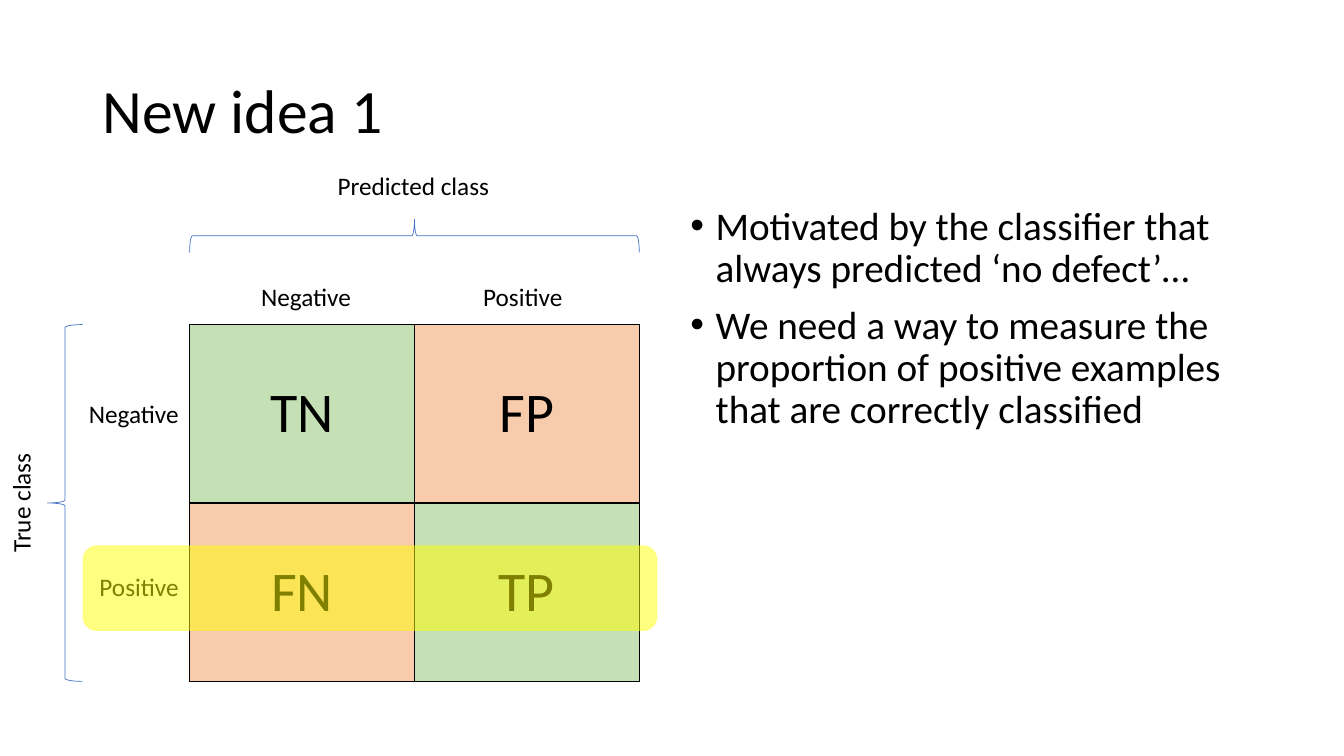
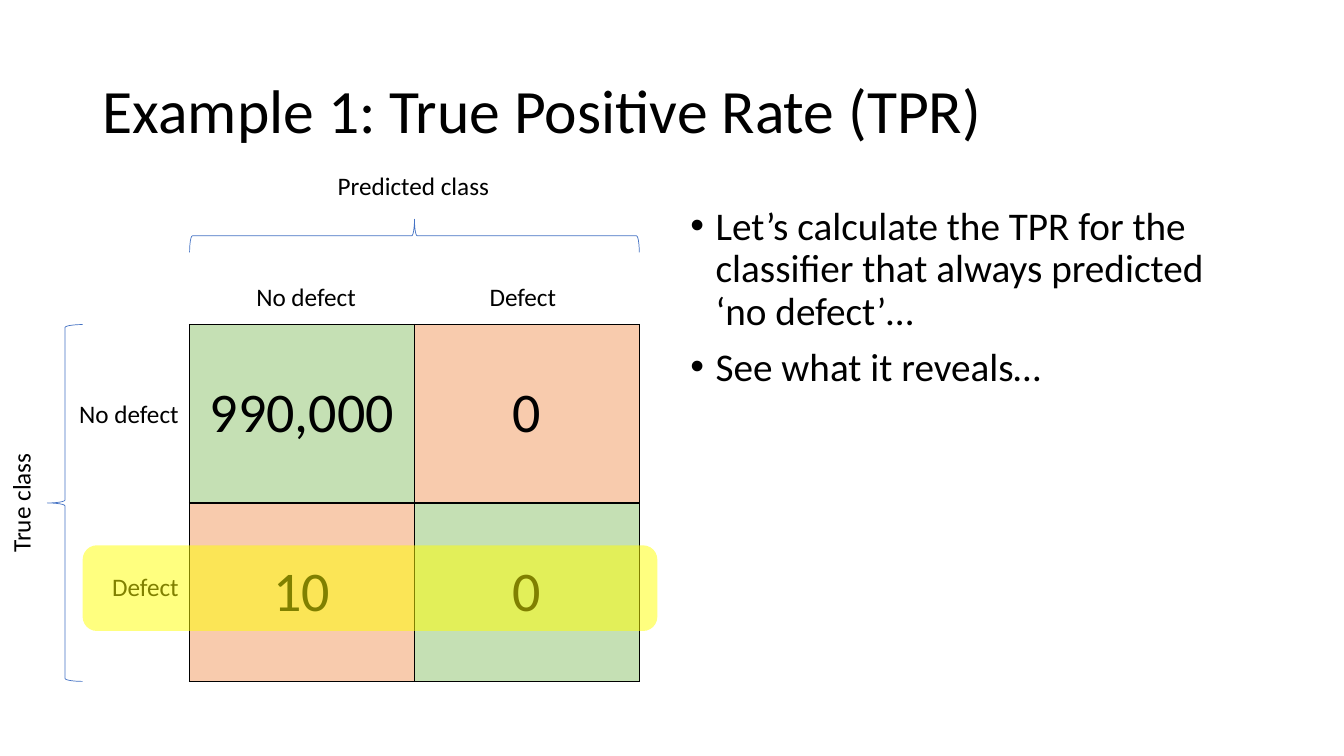
from dataclasses import dataclass

from pptx import Presentation
from pptx.dml.color import RGBColor
from pptx.enum.shapes import MSO_SHAPE as Shape
from pptx.enum.text import MSO_ANCHOR as Anchor, PP_ALIGN as Align
from pptx.oxml.ns import qn
from pptx.oxml.xmlchemy import OxmlElement as Element
from pptx.util import Inches, Pt


@dataclass(frozen=True)
class Theme:
    """Colours, font and type sizes shared by the slides."""

    font: str = "Calibri"
    ink: str = "000000"
    right: str = "C5E0B4"
    wrong: str = "F8CBAD"
    brace: str = "4472C4"
    marker: str = "FFFF00"
    title: int = 44
    value: int = 40
    body: int = 28
    label: int = 18


THEME = Theme()
LEFT, TOP, COLUMN, ROW = 1.88, 3.22, 2.23, 1.77
WIDTH, HEIGHT = 2 * COLUMN, 2 * ROW
LABEL_WIDTH, LABEL_HEIGHT = 1.69, 0.4


def rgb(colour):
    """Turn a hex string into a colour."""
    return RGBColor.from_string(colour)


def add_child(parent, tag, **attributes):
    """Append an XML element with the given attributes."""
    child = Element(tag)
    for name, value in attributes.items():
        child.set(name, str(value))
    parent.append(child)
    return child


def add_bullet(para):
    """Give a paragraph a hanging bullet."""
    properties = para._p.get_or_add_pPr()
    properties.set("marL", str(Inches(0.25)))
    properties.set("indent", str(Inches(-0.25)))
    add_child(properties, "a:buFont", typeface="Arial")
    add_child(properties, "a:buChar", char="•")


def write(frame, *texts, size, align=Align.LEFT, spacing=None, before=0, bullet=False):
    """Write one formatted paragraph for each text."""
    for index, text in enumerate(texts):
        para = frame.add_paragraph() if index else frame.paragraphs[0]
        para.alignment = align
        if spacing:
            para.line_spacing = spacing
        if index:
            para.space_before = Pt(before)
        if bullet:
            add_bullet(para)
        span = para.add_run()
        span.text = text
        span.font.name = THEME.font
        span.font.size = Pt(size)
        span.font.color.rgb = rgb(THEME.ink)


def add_text(page, area, *texts, anchor=Anchor.TOP, rotation=0, **style):
    """Add a wrapping text box."""
    box = page.shapes.add_textbox(*map(Inches, area))
    box.rotation = rotation
    box.text_frame.word_wrap = True
    box.text_frame.vertical_anchor = anchor
    write(box.text_frame, *texts, **style)


def add_label(page, left, top, text, width=LABEL_WIDTH, align=Align.CENTER, rotation=0):
    """Add a label of the matrix."""
    area = (left, top, width, LABEL_HEIGHT)
    add_text(page, area, text, size=THEME.label, align=align, rotation=rotation)


def add_brace(page, area, rotation=0):
    """Add a thin brace along one side of the matrix."""
    brace = page.shapes.add_shape(Shape.LEFT_BRACE, *map(Inches, area))
    brace.rotation = rotation
    brace.shadow.inherit = False
    brace.fill.background()
    brace.line.color.rgb = rgb(THEME.brace)
    brace.line.width = Pt(0.5)


def add_marker(page, area):
    """Add a half-transparent highlight."""
    marker = page.shapes.add_shape(Shape.ROUNDED_RECTANGLE, *map(Inches, area))
    marker.shadow.inherit = False
    marker.fill.solid()
    marker.fill.fore_color.rgb = rgb(THEME.marker)
    marker.line.fill.background()
    colour = marker._element.spPr.find(qn("a:solidFill")).find(qn("a:srgbClr"))
    add_child(colour, "a:alpha", val=50000)


def add_borders(cell):
    """Draw a line on each side of a cell."""
    properties = cell._tc.get_or_add_tcPr()
    for index, side in enumerate("LRTB"):
        line = add_child(properties, f"a:ln{side}", w=Pt(1))
        add_child(add_child(line, "a:solidFill"), "a:srgbClr", val=THEME.ink)
        properties.insert(index, line)


def add_matrix(page, values):
    """Add the confusion matrix with its diagonal in the right colour."""
    area = map(Inches, (LEFT, TOP, WIDTH, HEIGHT))
    table = page.shapes.add_table(2, 2, *area).table
    table.first_row = table.horz_banding = False
    for index in range(2):
        table.columns[index].width = Inches(COLUMN)
        table.rows[index].height = Inches(ROW)
    for row, texts in enumerate(values):
        for column, text in enumerate(texts):
            cell = table.cell(row, column)
            cell.vertical_anchor = Anchor.MIDDLE
            cell.fill.solid()
            cell.fill.fore_color.rgb = rgb(THEME.right if row == column else THEME.wrong)
            add_borders(cell)
            write(cell.text_frame, text, size=THEME.value, align=Align.CENTER)


def add_axes(page, classes):
    """Add the braces and class names around the matrix."""
    depth = 0.33
    middle = LEFT + WIDTH / 2
    add_brace(page, (0.47, TOP, 0.35, HEIGHT))
    add_label(page, -0.64, TOP + (HEIGHT - LABEL_HEIGHT) / 2, "True class", rotation=270)
    add_brace(page, (middle - depth / 2, 0.11, depth, WIDTH), rotation=90)
    add_label(page, 2.95, 1.64, "Predicted class", width=2.3)
    for name, top, left in zip(classes, (3.9, 5.62), (2.19, 4.34)):
        add_label(page, 0.18, top, name, align=Align.RIGHT)
        add_label(page, left, 2.74, name)


def add_page(deck, title, classes, values, points):
    """Add a slide with a confusion matrix and bullet points."""
    page = deck.slides.add_slide(deck.slide_layouts[6])
    add_text(page, (0.92, 0.4, 11.5, 1.45), title, size=THEME.title,
             anchor=Anchor.MIDDLE, spacing=0.9)
    add_matrix(page, values)
    add_text(page, (6.75, 2, 5.67, 4.76), *points, size=THEME.body,
             spacing=0.9, before=10, bullet=True)
    add_axes(page, classes)
    add_marker(page, (0.82, 5.41, 5.7, 0.85))


def main():
    """Build and save the deck."""
    deck = Presentation()
    deck.slide_width, deck.slide_height = Inches(13.33), Inches(7.5)
    add_page(
        deck,
        "New idea 1",
        ("Negative", "Positive"),
        (("TN", "FP"), ("FN", "TP")),
        ("Motivated by the classifier that always predicted ‘no defect’…",
         "We need a way to measure the proportion of positive examples "
         "that are correctly classified"),
    )
    add_page(
        deck,
        "Example 1: True Positive Rate (TPR)",
        ("No defect", "Defect"),
        (("990,000", "0"), ("10", "0")),
        ("Let’s calculate the TPR for the classifier that always predicted ‘no defect’…",
         "See what it reveals…"),
    )
    deck.save("out.pptx")


if __name__ == "__main__":
    main()
